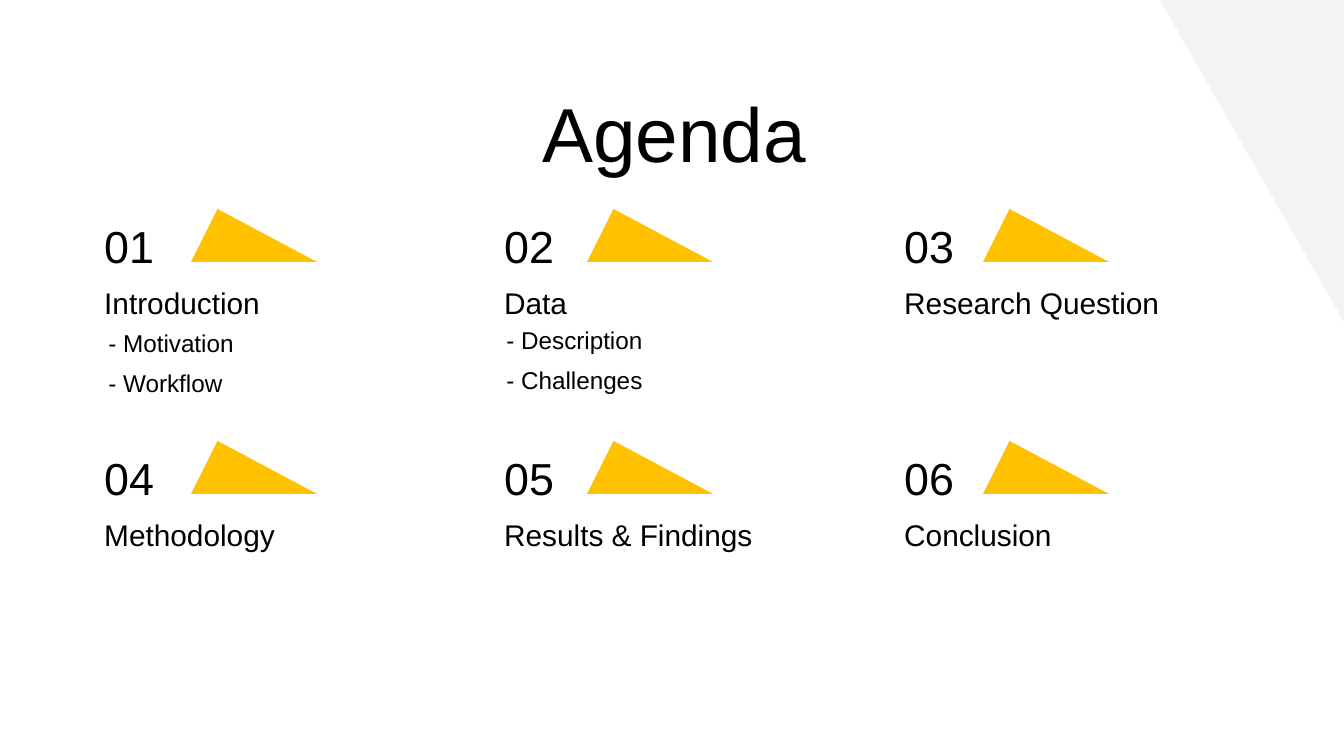
from pptx import Presentation
from pptx.dml.color import RGBColor
from pptx.enum.shapes import MSO_SHAPE
from pptx.enum.text import MSO_ANCHOR, MSO_AUTO_SIZE, PP_ALIGN
from pptx.oxml.xmlchemy import OxmlElement

SCALE = 914400 / 134.4
TOPICS = ["Introduction", "Data", "Research Question",
          "Methodology", "Results & Findings", "Conclusion"]
COLUMNS = 3
ROW_STEP = 232


def pixels(value):
    return round(value * SCALE)


def color(value):
    return RGBColor.from_string(value)


def write_text(shape, text, size, font="Arial", fill="000000", align=PP_ALIGN.LEFT,
               anchor=MSO_ANCHOR.TOP, later_lines=None):
    frame = shape.text_frame
    frame.text = text
    frame.word_wrap = True
    frame.auto_size = MSO_AUTO_SIZE.NONE
    frame.vertical_anchor = anchor
    frame.margin_left = frame.margin_right = pixels(13.44)
    frame.margin_top = frame.margin_bottom = pixels(13.44)
    for index, paragraph in enumerate(frame.paragraphs):
        paragraph.alignment = align
        paragraph.space_before = 0
        paragraph.font.size = size * 12700
        paragraph.font.name = font
        paragraph.font.color.rgb = color(fill)
        if index and later_lines:
            paragraph.line_spacing, gap = later_lines
            paragraph.space_before = paragraph.space_after = gap * 12700


class AgendaSlide:
    ink = "000000"
    accent = "FFC100"
    corner = "F3F3F3"

    def __init__(self, presentation):
        self.slide = presentation.slides.add_slide(presentation.slide_layouts[3])

    def place(self, shape, left, top, width, height):
        shape.left, shape.top = pixels(left), pixels(top)
        shape.width, shape.height = pixels(width), pixels(height)

    def shape(self, kind, left, top, width, height, fill):
        shape = self.slide.shapes.add_shape(
            kind, pixels(left), pixels(top), pixels(width), pixels(height))
        shape.shadow.inherit = False
        shape.fill.solid()
        shape.fill.fore_color.rgb = color(fill)
        shape.line.fill.background()
        return shape

    def label(self, text, left, top, width, height, **style):
        box = self.slide.shapes.add_textbox(
            pixels(left), pixels(top), pixels(width), pixels(height))
        write_text(box, text, fill=self.ink, **style)

    def title(self, text, *bounds, **style):
        title = self.slide.shapes.title
        self.place(title, *bounds)
        write_text(title, text, fill=self.ink, **style)

    def points(self, number, lines, *bounds, **style):
        body = self.slide.placeholders[number]
        self.place(body, *bounds)
        write_text(body, "\n".join(lines), fill=self.ink, **style)
        for paragraph in body.text_frame.paragraphs:
            properties = paragraph._p.get_or_add_pPr()
            properties.set("marL", "0")
            properties.set("indent", "0")
            properties.append(OxmlElement("a:buNone"))


presentation = Presentation()
presentation.slide_width = pixels(1344)
presentation.slide_height = pixels(756)
agenda = AgendaSlide(presentation)

corner = agenda.shape(MSO_SHAPE.RIGHT_TRIANGLE, 1160, 0, 184, 322, agenda.corner)
corner.rotation = 180
agenda.title("Agenda", 79, 73, 1191, 85, size=41, align=PP_ALIGN.CENTER)

for index, topic in enumerate(TOPICS):
    row, column = divmod(index, COLUMNS)
    left = 91 + column * 400
    offset = row * ROW_STEP
    triangle = agenda.shape(MSO_SHAPE.ISOSCELES_TRIANGLE, 191 + column * 396,
                            209 + offset, 126, 53, agenda.accent)
    triangle.adjustments[0] = 0.21
    agenda.label(f"{index + 1:02}", left, 219 + offset, 159, 53,
                 size=24, anchor=MSO_ANCHOR.MIDDLE)
    agenda.label(topic, left, 271 + offset, 317, 53, size=16)

agenda.points(1, ["- Motivation", "- Workflow"], 95, 315, 317, 100,
              size=13, later_lines=(0.2, 16))
agenda.points(2, ["- Description", "- Challenges"], 493, 312, 317, 100,
              size=13, later_lines=(0.2, 16))

presentation.save("out.pptx")
